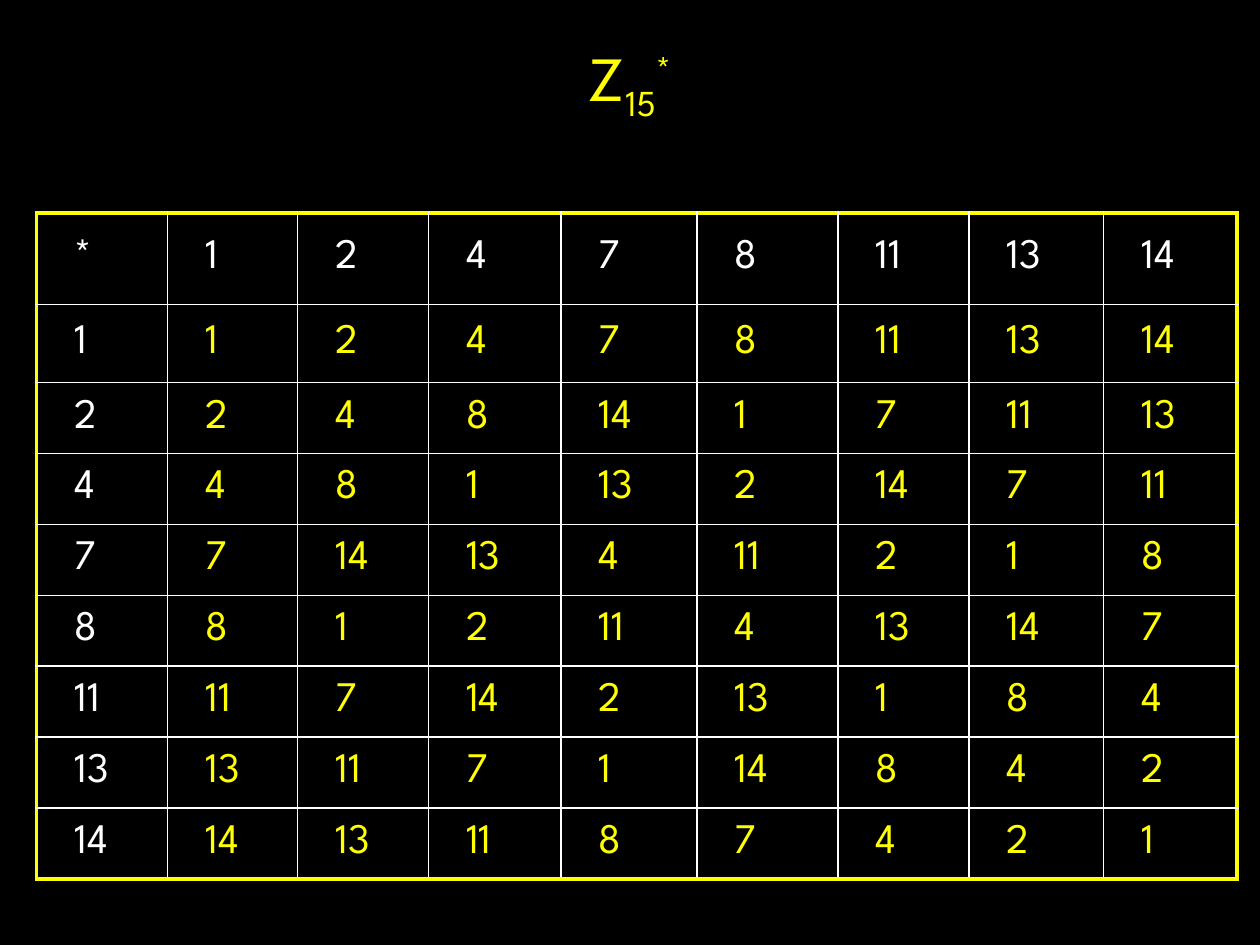
import lxml.etree
import pptx
import pptx.dml.color
import pptx.enum.text
import pptx.oxml.ns
import pptx.util
from pptx.util import Cm

BLACK, WHITE, YELLOW = "000000", "FFFFFF", "FFFF00"
FONT = "League Spartan"
MODULUS = 15
UNITS = [1, 2, 4, 7, 8, 11, 13, 14]


def add_span(para, text, size, colour, baseline=0):
    """Baseline is a shift in percent: below zero for subscript, above for superscript."""
    span = para.add_run()
    span.text = text
    span.font.name = FONT
    span.font.size = pptx.util.Pt(size)
    span.font.color.rgb = pptx.dml.color.RGBColor.from_string(colour)
    if baseline:
        span.font._element.set("baseline", str(baseline * 1000))


def add_child(parent, tag, **attributes):
    return lxml.etree.SubElement(parent, pptx.oxml.ns.qn(tag), attributes)


deck = pptx.Presentation()
deck.slide_width, deck.slide_height = Cm(25.4), Cm(19.05)
page = deck.slides.add_slide(deck.slide_layouts[5])
page.background.fill.solid()
page.background.fill.fore_color.rgb = pptx.dml.color.RGBColor.from_string(BLACK)

title = page.shapes.title
title.left, title.top, title.width, title.height = Cm(1.27), Cm(0.64), Cm(22.86), Cm(3.18)
title.text_frame.vertical_anchor = pptx.enum.text.MSO_ANCHOR.TOP
heading = title.text_frame.paragraphs[0]
heading.alignment = pptx.enum.text.PP_ALIGN.CENTER
for text, baseline in [("Z", 0), (str(MODULUS), -25), ("*", 30)]:
    add_span(heading, text, size=36, colour=YELLOW, baseline=baseline)

# Multiplication table of the units modulo 15
column_widths = [2.64, 2.62, 2.64, 2.67, 2.74, 2.84, 2.64, 2.72, 2.69]
row_heights = [1.85, 1.57] + [1.43] * 7
last = len(UNITS)
table = page.shapes.add_table(
    last + 1, last + 1, Cm(0.74), Cm(4.29), Cm(sum(column_widths)), Cm(sum(row_heights))
).table
table.first_row = table.horz_banding = False
for column, width in zip(table.columns, column_widths):
    column.width = Cm(width)
for row, height in zip(table.rows, row_heights):
    row.height = Cm(height)

headers = [1] + UNITS
for i, row_unit in enumerate(headers):
    for j, column_unit in enumerate(headers):
        cell = table.cell(i, j)
        cell.vertical_anchor = pptx.enum.text.MSO_ANCHOR.MIDDLE
        cell.margin_left = cell.margin_right = Cm(0.76)
        cell.margin_top = cell.margin_bottom = Cm(0.13)

        para = cell.text_frame.paragraphs[0]
        space_before = add_child(para._p.get_or_add_pPr(), "a:spcBef")
        add_child(space_before, "a:spcPct", val="20000")
        text = "*" if i == j == 0 else str(row_unit * column_unit % MODULUS)
        add_span(para, text, size=24, colour=YELLOW if i and j else WHITE)

        outer_sides = {"a:lnL": j == 0, "a:lnR": j == last, "a:lnT": i == 0, "a:lnB": i == last}
        for side, is_outer in outer_sides.items():
            width = pptx.util.Pt(2.25 if is_outer else 1)
            line = add_child(cell._tc.get_or_add_tcPr(), side, w=str(width))
            line_fill = add_child(line, "a:solidFill")
            add_child(line_fill, "a:srgbClr", val=YELLOW if is_outer else WHITE)
        cell.fill.solid()
        cell.fill.fore_color.rgb = pptx.dml.color.RGBColor.from_string(BLACK)

deck.save("out.pptx")
